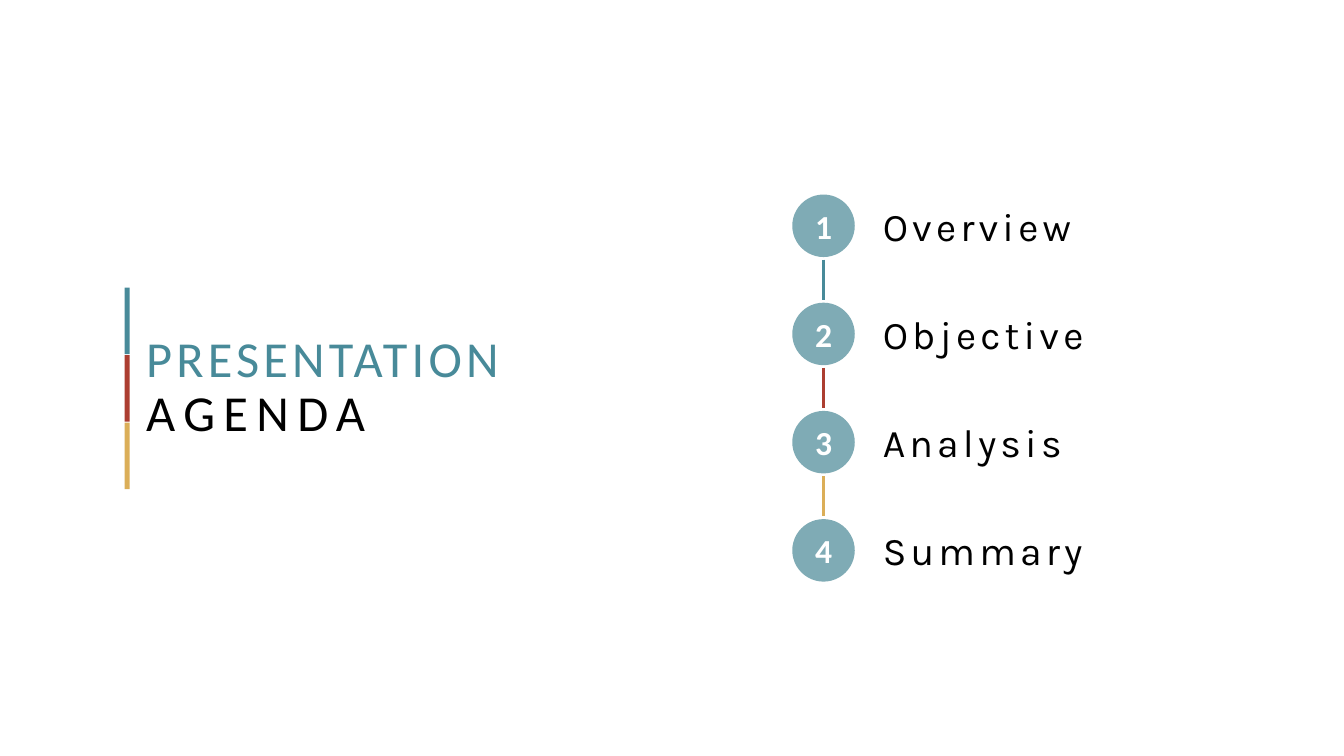
from dataclasses import dataclass

from lxml.etree import SubElement
from pptx import Presentation
from pptx.dml.color import RGBColor as Rgb
from pptx.enum.shapes import MSO_CONNECTOR as Line, MSO_SHAPE as Form
from pptx.enum.text import MSO_ANCHOR as Anchor, MSO_AUTO_SIZE as Fit, PP_ALIGN as Align
from pptx.oxml.ns import qn
from pptx.util import Emu, Pt

# Grid of square cells, twelve to the inch
COLS, ROWS, CELL = 160, 90, 76200


@dataclass(frozen=True)
class Theme:
    accents: tuple = ("488A99", "AC3E31", "DBAE58")
    dot: str = "7FABB5"
    ink: str = "000000"
    paper: str = "FFFFFF"
    head: str = "Calibri"
    body: str = "Karla"
    title: int = 36
    label: int = 28
    digit: int = 24
    rule: float = 2.25


THEME = Theme()
ITEMS = (("Overview", 30.36), ("Objective", 31.92), ("Analysis", 29.52), ("Summary", 29.52))


def cells(*sizes):
    return [Emu(round(size * CELL)) for size in sizes]


def add_run(para, text, font, size, color, gap=0, bold=False):
    run = para.add_run()
    run.text = text
    run.font.name = font
    run.font.size = Pt(size)
    run.font.bold = bold
    run.font.color.rgb = Rgb.from_string(color)
    if gap:
        run.font._element.set("spc", str(gap * 100))


def add_form(slide, form, box, color):
    shape = slide.shapes.add_shape(form, *cells(*box))
    shape.shadow.inherit = False
    shape.fill.solid()
    shape.fill.fore_color.rgb = Rgb.from_string(color)
    shape.line.fill.background()
    return shape


def add_text(slide, box):
    frame = slide.shapes.add_textbox(*cells(*box)).text_frame
    frame.word_wrap = True
    return frame


def add_link(slide, x, top, end, color):
    link = slide.shapes.add_connector(Line.STRAIGHT, *cells(x, top, x, end))
    link.line.color.rgb = Rgb.from_string(color)
    link.line.width = Pt(THEME.rule)
    SubElement(link._element.spPr, qn("a:effectLst"))


def add_title(slide, x, y, width, height):
    # Three stacked bars
    step = height / len(THEME.accents)
    for row, color in enumerate(THEME.accents):
        add_form(slide, Form.RECTANGLE, (x, y + row * step, 0.6, step - 0.12), color)

    # Two-line heading
    frame = add_text(slide, (x + 2.55, y + 5.1, width - 2.55, 13.68))
    frame.margin_left = 0
    frame.vertical_anchor = Anchor.MIDDLE
    para = frame.paragraphs[0]
    para.line_spacing = 0.9
    add_run(para, "PRESENTATION", THEME.head, THEME.title, THEME.accents[0], 3)
    para.add_line_break()
    add_run(para, "AGENDA", THEME.head, THEME.title, THEME.ink, 6)


def add_agenda(slide, x, y, dot, step):
    for row, (label, width) in enumerate(ITEMS):
        top = y + row * step

        # Numbered dot
        frame = add_form(slide, Form.OVAL, (x, top, dot, dot), THEME.dot).text_frame
        frame.vertical_anchor = Anchor.MIDDLE
        para = frame.paragraphs[0]
        para.alignment = Align.CENTER
        add_run(para, str(row + 1), THEME.head, THEME.digit, THEME.paper, bold=True)

        # Label
        frame = add_text(slide, (x + 9.6, top + 0.3, width, 6.84))
        frame.auto_size = Fit.SHAPE_TO_FIT_TEXT
        add_run(frame.paragraphs[0], label, THEME.body, THEME.label, THEME.ink, 3)

    # Links between the dots
    for row, color in enumerate(THEME.accents):
        top = y + row * step
        add_link(slide, x + dot / 2, top + dot + 0.32, top + step - 0.32, color)


def main():
    deck = Presentation()
    deck.slide_width, deck.slide_height = cells(COLS, ROWS)
    slide = deck.slides.add_slide(deck.slide_layouts[6])
    add_title(slide, 14.85, 34.25, 52.6, 24.12)
    add_agenda(slide, 94.32, 23.16, 7.44, 12.88)
    deck.save("out.pptx")


if __name__ == "__main__":
    main()
